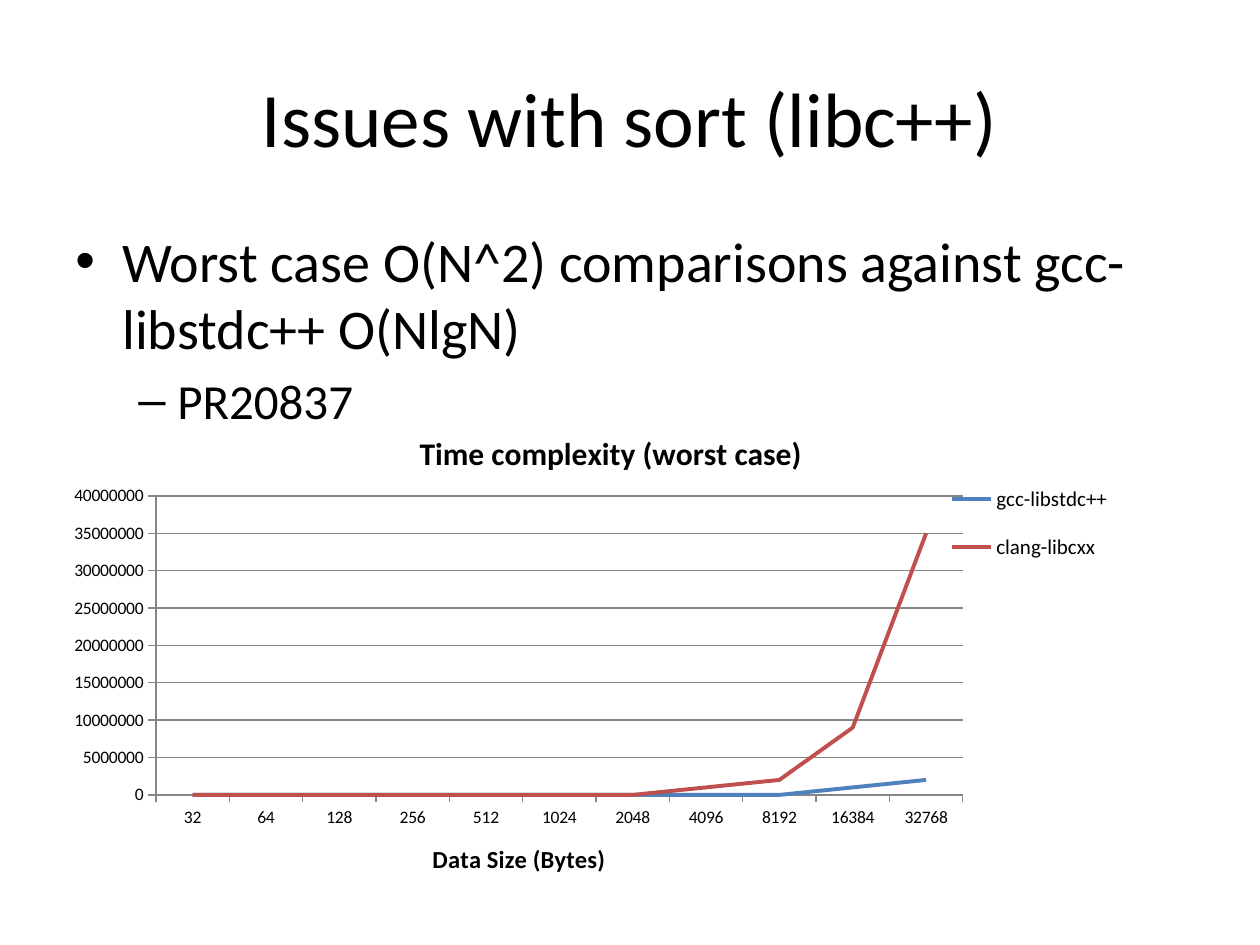
import dataclasses

import pptx
import pptx.chart.data
import pptx.dml.color
import pptx.enum.chart
import pptx.enum.text
import pptx.oxml
import pptx.oxml.ns
import pptx.util


@dataclasses.dataclass(frozen=True)
class Theme:
    font: str = "Calibri"
    ink: str = "000000"
    grid: str = "868686"
    series: tuple = ("4F81BD", "C0504D")
    title: int = 44
    levels: tuple = (32, 28)
    chart_title: int = 18
    axis_title: int = 14
    legend: int = 12
    ticks: int = 10


class SlideBuilder:
    SCALE = 914400 / 126

    def __init__(self, deck, theme):
        self.theme = theme
        self.page = deck.slides.add_slide(deck.slide_layouts[6])

    def px(self, *lengths):
        return [pptx.util.Emu(round(length * self.SCALE)) for length in lengths]

    def color(self, value):
        return pptx.dml.color.RGBColor.from_string(value)

    def style(self, font, size, bold=False):
        font.name = self.theme.font
        font.size = pptx.util.Pt(size)
        font.bold = bold
        font.color.rgb = self.color(self.theme.ink)

    def add_span(self, para, text, size, bold=False):
        span = para.add_run()
        span.text = text
        self.style(span.font, size, bold)

    def text_box(self, *place):
        frame = self.page.shapes.add_textbox(*self.px(*place)).text_frame
        frame.word_wrap = True
        return frame

    def title(self, text, *place):
        frame = self.text_box(*place)
        frame.vertical_anchor = pptx.enum.text.MSO_ANCHOR.MIDDLE
        para = frame.paragraphs[0]
        para.alignment = pptx.enum.text.PP_ALIGN.CENTER
        self.add_span(para, text, self.theme.title)

    def bullets(self, items, *place):
        frame = self.text_box(*place)
        marks = (("•", 47, 47), ("–", 102, 39))
        for index, (level, text) in enumerate(items):
            para = frame.add_paragraph() if index else frame.paragraphs[0]
            size = self.theme.levels[level]
            mark, margin, hang = marks[level]
            para.level = level
            para.space_before = pptx.util.Pt(size * 0.2)
            self.add_span(para, text, size)
            margin, hang = self.px(margin, hang)
            props = para._p.get_or_add_pPr()
            props.set("marL", str(margin))
            props.set("indent", str(-hang))
            ns = pptx.oxml.ns.nsdecls("a")
            props.append(pptx.oxml.parse_xml(f'<a:buFont {ns} typeface="Arial"/>'))
            props.append(pptx.oxml.parse_xml(f'<a:buChar {ns} char="{mark}"/>'))

    def place_part(self, part, after, chart_place, left, top, *size):
        """Fix a chart part's position, given in slide pixels."""
        for old in part.findall(pptx.oxml.ns.qn("c:layout")):
            part.remove(old)
        chart_left, chart_top, width, height = chart_place
        offsets = (left - chart_left, top - chart_top, *size)
        fractions = [length / whole for length, whole in zip(offsets, (width, height) * 2)]
        inner = "" if after else '<c:layoutTarget val="inner"/>'
        modes = "".join(f'<c:{key}Mode val="edge"/>' for key in "xy")
        values = "".join(f'<c:{key} val="{value:.4f}"/>' for key, value in zip("xywh", fractions))
        layout = pptx.oxml.parse_xml(
            f'<c:layout {pptx.oxml.ns.nsdecls("c")}><c:manualLayout>'
            f"{inner}{modes}{values}</c:manualLayout></c:layout>")
        if after:
            part.find(pptx.oxml.ns.qn(after)).addnext(layout)
        else:
            part.insert(0, layout)

    def line_chart(self, heading, axis_heading, categories, series, *place):
        data = pptx.chart.data.CategoryChartData()
        data.categories = categories
        for name, values in series:
            data.add_series(name, values)
        chart = self.page.shapes.add_chart(
            pptx.enum.chart.XL_CHART_TYPE.LINE, *self.px(*place), data).chart
        self.style(chart.font, self.theme.ticks)

        # Headings
        chart.has_title = True
        across, up = chart.category_axis, chart.value_axis
        across.has_title = True
        for holder, text, size in (
                (chart.chart_title, heading, self.theme.chart_title),
                (across.axis_title, axis_heading, self.theme.axis_title)):
            self.add_span(holder.text_frame.paragraphs[0], text, size, True)

        # Axes and grid
        up.minimum_scale, up.maximum_scale, up.major_unit = 0, 40_000_000, 5_000_000
        up.has_major_gridlines = True
        up.tick_labels.number_format = "General"
        up.tick_labels.number_format_is_linked = False
        for axis in (across, up):
            axis.major_tick_mark = pptx.enum.chart.XL_TICK_MARK.OUTSIDE
        for line in (across.format.line, up.format.line, up.major_gridlines.format.line):
            line.color.rgb = self.color(self.theme.grid)
            line.width = pptx.util.Pt(0.75)

        # Series
        chart.plots[0].vary_by_categories = False
        for drawn, color in zip(chart.plots[0].series, self.theme.series):
            drawn.smooth = False
            drawn.marker.style = pptx.enum.chart.XL_MARKER_STYLE.NONE
            drawn.format.line.color.rgb = self.color(color)
            drawn.format.line.width = pptx.util.Pt(2.25)

        # Legend and positions
        chart.has_legend = True
        chart.legend.position = pptx.enum.chart.XL_LEGEND_POSITION.RIGHT
        chart.legend.include_in_layout = False
        self.style(chart.legend.font, self.theme.legend)
        for query, after, spot in (
                ("c:chart/c:title", "c:tx", (414, 426)),
                (".//c:catAx/c:title", "c:tx", (428, 838)),
                (".//c:plotArea", None, (156, 496, 807, 299)),
                (".//c:legend", "c:legendPos", (924, 464, 211, 118))):
            self.place_part(chart.element.xpath(query)[0], after, place, *spot)


deck = pptx.Presentation()
deck.slide_width, deck.slide_height = pptx.util.Inches(10), pptx.util.Inches(7.5)
slide = SlideBuilder(deck, Theme())

# Title and points
slide.title("Issues with sort (libc++)", 63, 38, 1134, 157)
slide.bullets([
    (0, "Worst case O(N^2) comparisons against gcc-libstdc++ O(NlgN)"),
    (1, "PR20837"),
], 63, 220, 1134, 624)

# Time measurements
sizes = [str(2 ** power) for power in range(5, 16)]
slide.line_chart(
    "Time complexity (worst case)", "Data Size (Bytes)", sizes,
    [("gcc-libstdc++", [0] * 9 + [1_000_000, 2_000_000]),
     ("clang-libcxx", [0] * 7 + [1_000_000, 2_000_000, 9_000_000, 35_000_000])],
    53, 410, 1113, 494)

deck.save("out.pptx")
